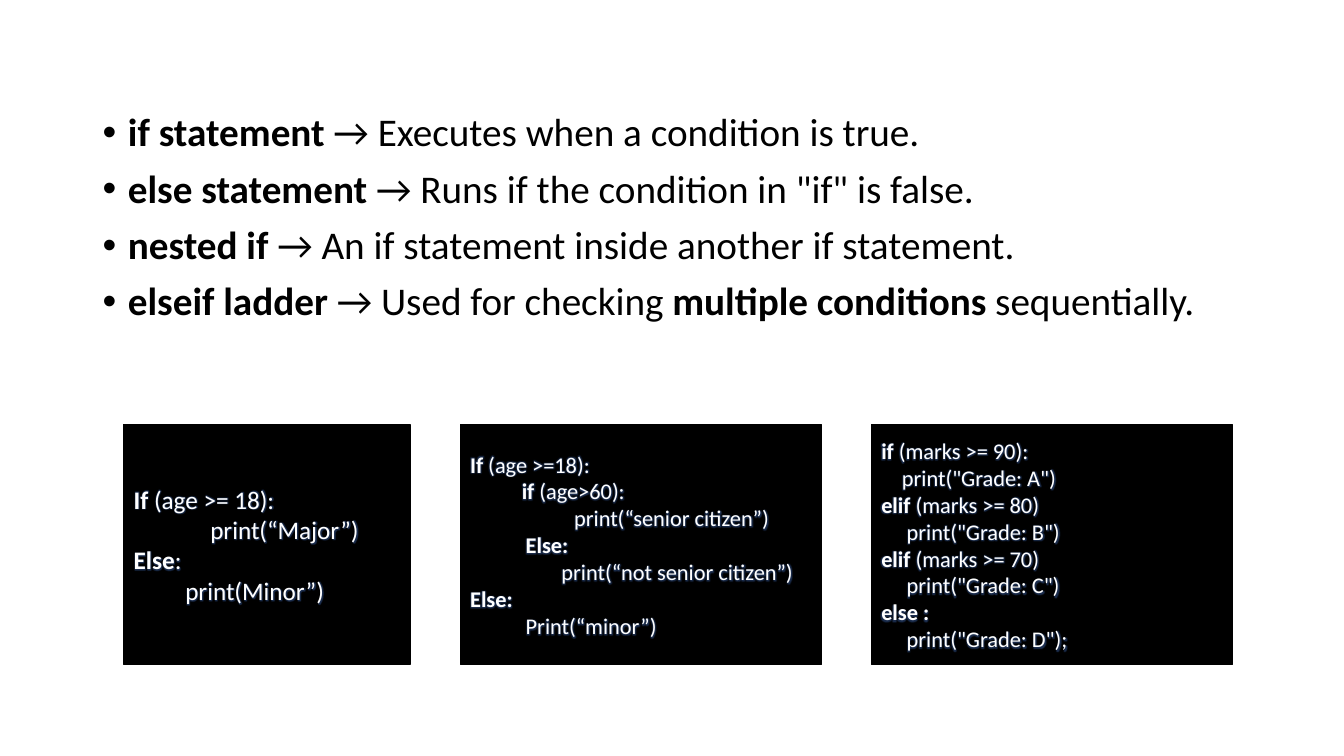
from lxml.etree import SubElement
from pptx import Presentation
from pptx.dml.color import RGBColor
from pptx.enum.shapes import MSO_SHAPE as Shape
from pptx.enum.text import MSO_ANCHOR as Anchor, MSO_AUTO_SIZE as AutoSize, PP_ALIGN as Align
from pptx.oxml.ns import qn
from pptx.util import Cm, Pt

BLACK = RGBColor(0x00, 0x00, 0x00)
WHITE = RGBColor(0xFF, 0xFF, 0xFF)
GLOW_BLUE = RGBColor(0x44, 0x72, 0xC4)
FONT = "Calibri"

STATEMENTS = [
    [("if statement", True), (" → Executes when a condition is true.", False)],
    [("else statement", True), (' → Runs if the condition in "if" is false.', False)],
    [("nested if", True), (" → An if statement inside another if statement.", False)],
    [("elseif ladder", True), (" → Used for checking ", False),
     ("multiple conditions", True), (" sequentially.", False)],
]

IF_ELSE = [
    (0, "If", " (age >= 18):"),
    (1.93, "", "print(“Major”)"),
    (0, "Else", ":"),
    (1.3, "", "print(Minor”)"),
]
NESTED_IF = [
    (0, "If", " (age >=18):"),
    (1.3, "if ", "(age>60):"),
    (2.62, "", "print(“senior citizen”)"),
    (1.4, "Else:", ""),
    (2.3, "", "print(“not senior citizen”)"),
    (0, "Else:", ""),
    (1.4, "", "Print(“minor”)"),
]
LADDER = [
    (0, "if", " (marks >= 90):"),
    (0.52, "", 'print("Grade: A")'),
    (0, "elif ", "(marks >= 80)"),
    (0.64, "", 'print("Grade: B")'),
    (0, "elif ", "(marks >= 70)"),
    (0.64, "", 'print("Grade: C")'),
    (0, "else :", ""),
    (0.64, "", 'print("Grade: D");'),
]

PANELS = [
    (3.12, 7.21, 18, IF_ELSE),
    (11.6, 9.1, 16, NESTED_IF),
    (21.96, 9.1, 16, LADDER),
]


def set_font(paragraph, size, color):
    paragraph.font.name = FONT
    paragraph.font.size = Pt(size)
    paragraph.font.color.rgb = color


def set_indent(paragraph, left, first=0):
    properties = paragraph._p.get_or_add_pPr()
    properties.set("marL", str(Cm(left)))
    properties.set("indent", str(Cm(first)))


def add_run(paragraph, text, bold):
    run = paragraph.add_run()
    run.text = text
    run.font.bold = bold
    return run


def add_color(parent, color):
    fill = SubElement(parent, qn("a:solidFill"))
    return SubElement(fill, qn("a:srgbClr"), val=str(color))


def add_glow(run):
    run.font.color.rgb = WHITE
    effects = SubElement(run._r.get_or_add_rPr(), qn("a:effectLst"))
    glow = SubElement(effects, qn("a:glow"), rad=str(Pt(3)))
    color = SubElement(glow, qn("a:srgbClr"), val=str(GLOW_BLUE))
    SubElement(color, qn("a:alpha"), val="40000")


def fill_statements(body, left, top, width, height):
    body.left, body.top, body.width, body.height = Cm(left), Cm(top), Cm(width), Cm(height)
    frame = body.text_frame
    frame.auto_size = AutoSize.NONE
    for index, parts in enumerate(STATEMENTS):
        paragraph = frame.add_paragraph() if index else frame.paragraphs[0]
        set_indent(paragraph, 0.64, -0.64)
        paragraph.line_spacing = 0.9
        paragraph.space_before = Pt(10)
        set_font(paragraph, 28, BLACK)
        for text, bold in parts:
            add_run(paragraph, text, bold)


def add_code_panel(slide, left, top, width, height, size, lines):
    panel = slide.shapes.add_shape(Shape.RECTANGLE, Cm(left), Cm(top), Cm(width), Cm(height))
    panel.shadow.inherit = False
    panel.fill.solid()
    panel.fill.fore_color.rgb = BLACK
    panel.line.color.rgb = BLACK
    panel.line.width = Pt(1)
    frame = panel.text_frame
    frame.word_wrap = True
    frame.vertical_anchor = Anchor.MIDDLE
    for index, (indent, keyword, code) in enumerate(lines):
        paragraph = frame.add_paragraph() if index else frame.paragraphs[0]
        paragraph.alignment = Align.LEFT
        set_indent(paragraph, indent)
        set_font(paragraph, size, WHITE)
        if keyword:
            add_glow(add_run(paragraph, keyword, True))
        if code:
            add_run(paragraph, code, False)


def main():
    presentation = Presentation()
    presentation.slide_width, presentation.slide_height = Cm(33.87), Cm(19.05)
    slide = presentation.slides.add_slide(presentation.slide_layouts[1])
    title = slide.shapes.title
    title.element.getparent().remove(title.element)
    fill_statements(slide.placeholders[1], 2.33, 2.72, 29.21, 14.45)
    for left, width, size, lines in PANELS:
        add_code_panel(slide, left, 10.7, width, 6.05, size, lines)
    presentation.save("out.pptx")


if __name__ == "__main__":
    main()
